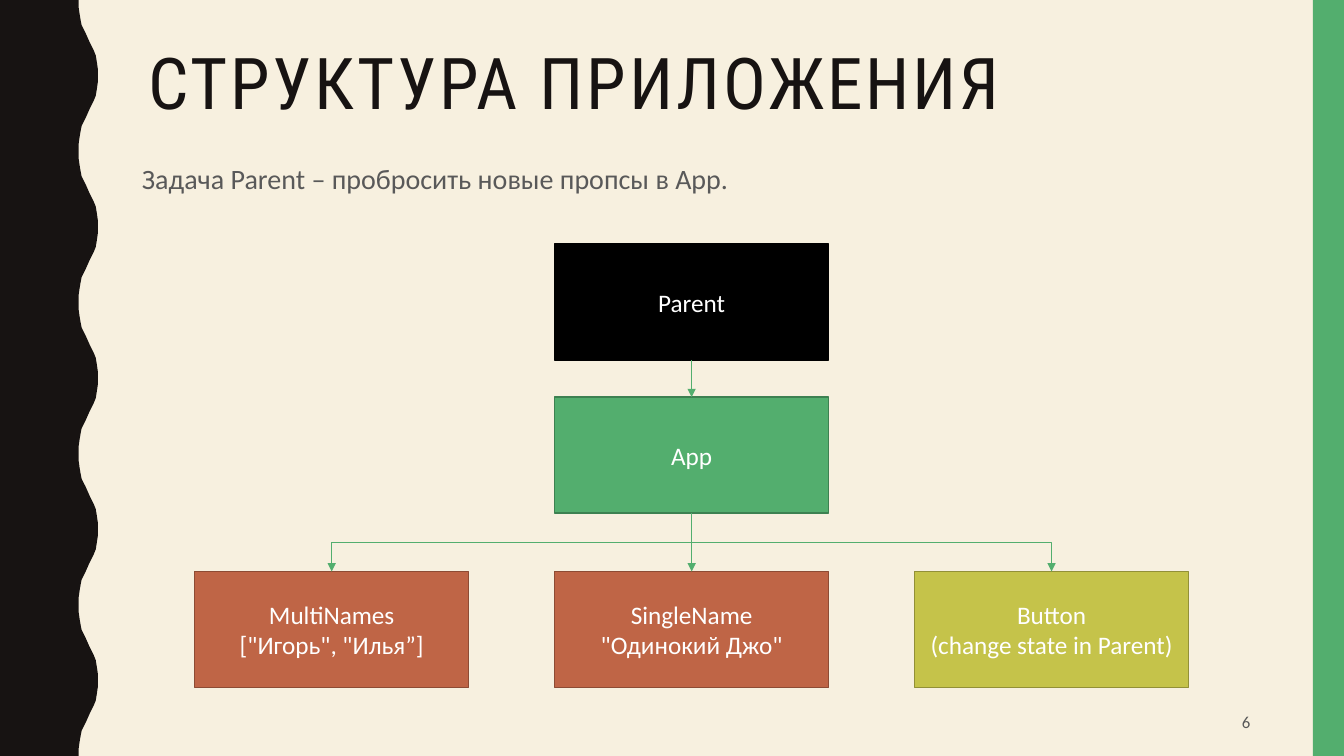
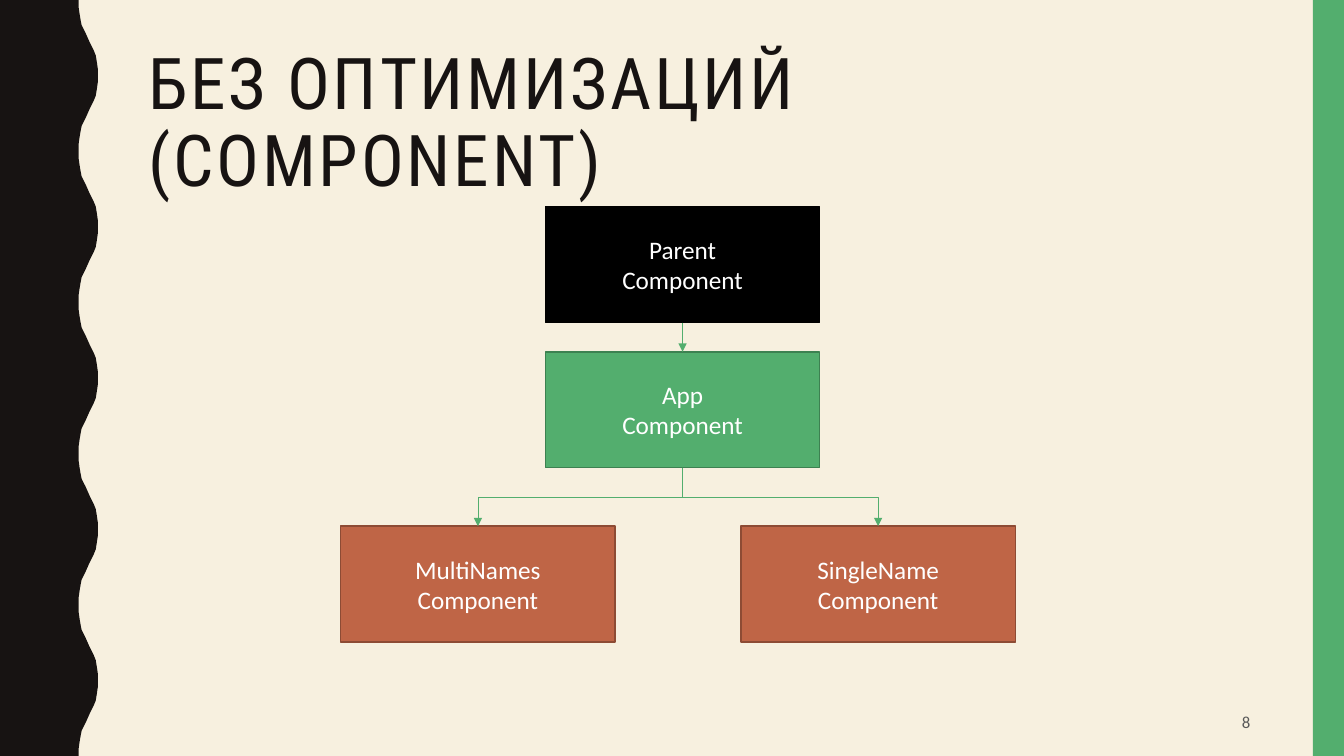
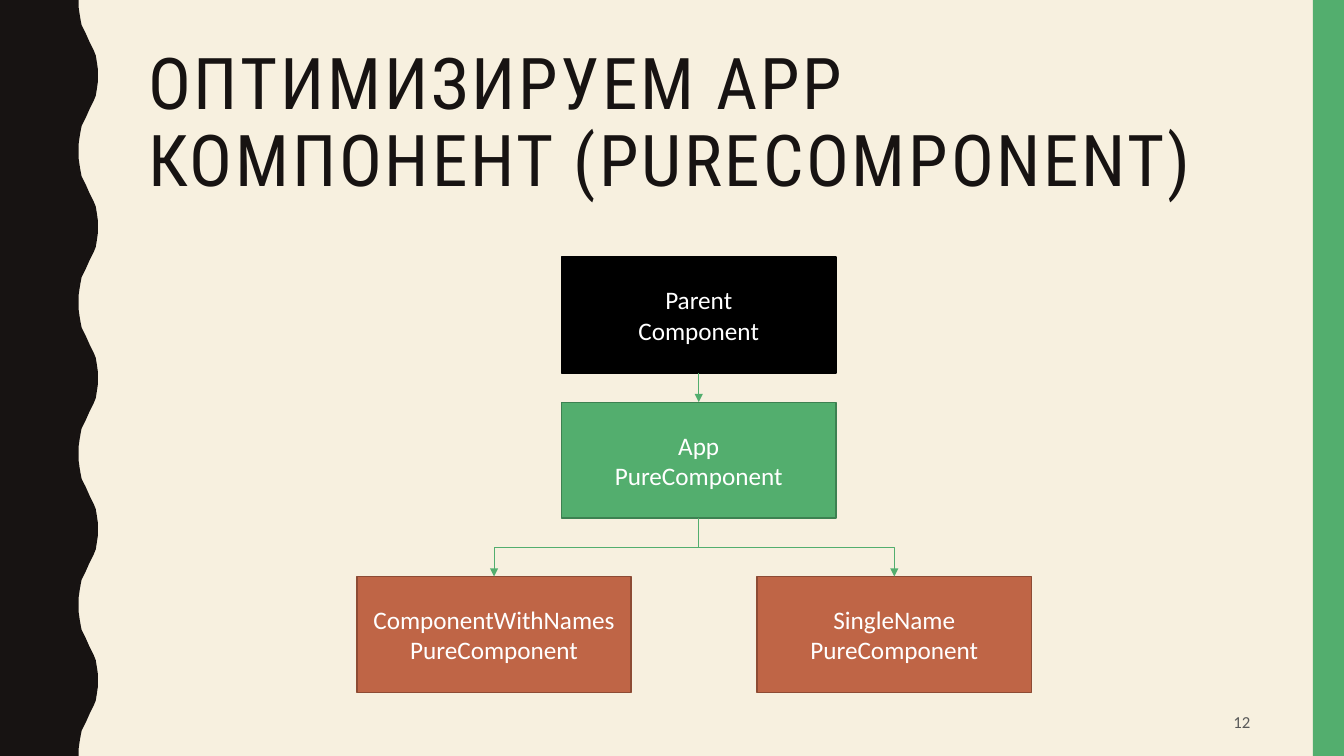
from lxml.etree import SubElement
from pptx import Presentation
from pptx.dml.color import RGBColor
from pptx.enum.shapes import MSO_CONNECTOR, MSO_SHAPE
from pptx.enum.text import MSO_ANCHOR, MSO_AUTO_SIZE, PP_ALIGN
from pptx.oxml.ns import qn
from pptx.util import Inches, Pt

CREAM = RGBColor(0xF7, 0xF0, 0xDF)
INK = RGBColor(0x17, 0x13, 0x12)
GRAY = RGBColor(0x59, 0x59, 0x59)
WHITE = RGBColor(0xFF, 0xFF, 0xFF)
BLACK = RGBColor(0, 0, 0)
GREEN = RGBColor(0x53, 0xAE, 0x6E)
DARK_GREEN = RGBColor(0x3D, 0x81, 0x51)
RUST = RGBColor(0xBF, 0x65, 0x46)
DARK_RUST = RGBColor(0x8D, 0x4B, 0x34)
OLIVE = RGBColor(0xC5, 0xC3, 0x4A)
DARK_OLIVE = RGBColor(0x92, 0x90, 0x37)

PARENT_COLORS = (BLACK, BLACK)
APP_COLORS = (GREEN, DARK_GREEN)
NAMES_COLORS = (RUST, DARK_RUST)
BUTTON_COLORS = (OLIVE, DARK_OLIVE)

TITLE_FONT = "Roboto Condensed"
BODY_FONT = "Calibri"
SLIDE_WIDTH, SLIDE_HEIGHT = Inches(13.33), Inches(7.5)
NODE_WIDTH, NODE_HEIGHT = Inches(2.72), Inches(1.15)
CHILD_STEP = Inches(1.73)
BOTTOM_SITE, TOP_SITE = 2, 0

HALF_WAVE = [(0.78, 0), (0.78, 0.07), (0.79, 0.14), (0.8, 0.2), (0.81, 0.25),
             (0.85, 0.33), (0.89, 0.42), (0.93, 0.5), (0.95, 0.55),
             (0.96, 0.61), (0.97, 0.68), (0.97, 0.75)]
WAVE_PERIOD = 1.5
WAVE_COUNT = 5


def paint(shape, fill, outline=None):
    """Give a shape a flat fill, an optional outline and no shadow."""
    shape.shadow.inherit = False
    shape.fill.solid()
    shape.fill.fore_color.rgb = fill
    if outline is None:
        shape.line.fill.background()
    else:
        shape.line.color.rgb = outline
        shape.line.width = Pt(1)


def style(paragraph, font_name, size, color, align=PP_ALIGN.LEFT):
    """Set the font and alignment of a paragraph."""
    paragraph.alignment = align
    paragraph.font.name = font_name
    paragraph.font.size = Pt(size)
    paragraph.font.color.rgb = color


def add_wave(slide, height):
    """Draw the wavy dark band along the left edge."""
    full_wave = HALF_WAVE + [(x, WAVE_PERIOD - y) for x, y in HALF_WAVE[-2::-1]]
    edge = [(Inches(x), Inches(y + turn * WAVE_PERIOD))
            for turn in range(WAVE_COUNT) for x, y in full_wave]
    outline = slide.shapes.build_freeform(0, 0)
    outline.add_line_segments(edge + [(0, height)], close=True)
    paint(outline.convert_to_shape(), INK)


def add_title(slide, text, left, top, width, height):
    """Place and format the title placeholder."""
    title = slide.shapes.title
    title.left, title.top, title.width, title.height = left, top, width, height
    frame = title.text_frame
    frame.text = text
    frame.word_wrap = True
    frame.auto_size = MSO_AUTO_SIZE.NONE
    frame.vertical_anchor = MSO_ANCHOR.TOP
    heading = frame.paragraphs[0]
    style(heading, TITLE_FONT, 51, INK)
    heading.line_spacing = 0.9
    heading.runs[0]._r.get_or_add_rPr().set("spc", "200")


def add_text(slide, text, left, top, width, height, size,
             align=PP_ALIGN.LEFT, anchor=MSO_ANCHOR.TOP):
    """Add one gray paragraph and return it."""
    frame = slide.shapes.add_textbox(left, top, width, height).text_frame
    frame.text = text
    frame.word_wrap = True
    frame.vertical_anchor = anchor
    style(frame.paragraphs[0], BODY_FONT, size, GRAY, align)
    return frame.paragraphs[0]


def add_base(deck, title, number):
    """Add a slide with its bands, title and page number."""
    slide = deck.slides.add_slide(deck.slide_layouts[5])
    add_wave(slide, SLIDE_HEIGHT)
    band_width = Inches(0.31)
    band = slide.shapes.add_shape(MSO_SHAPE.RECTANGLE, SLIDE_WIDTH - band_width,
                                  0, band_width, SLIDE_HEIGHT)
    paint(band, GREEN)
    add_title(slide, title, Inches(1.37), Inches(0.42), Inches(11.13), Inches(1.63))
    add_text(slide, str(number), Inches(9.42), Inches(6.97), Inches(3.08),
             Inches(0.38), 12, PP_ALIGN.RIGHT, MSO_ANCHOR.MIDDLE)
    return slide


def add_node(slide, lines, colors, left, top):
    """Add one component box with centred lines of text."""
    node = slide.shapes.add_shape(MSO_SHAPE.RECTANGLE, left, top,
                                  NODE_WIDTH, NODE_HEIGHT)
    paint(node, *colors)
    frame = node.text_frame
    frame.text = "\n".join(lines)
    frame.vertical_anchor = MSO_ANCHOR.MIDDLE
    for paragraph in frame.paragraphs:
        style(paragraph, BODY_FONT, 18, WHITE, PP_ALIGN.CENTER)
    return node


def add_arrow(slide, upper, lower):
    """Join the bottom of one node to the top of another."""
    start_x, start_y = upper.left + NODE_WIDTH // 2, upper.top + NODE_HEIGHT
    end_x, end_y = lower.left + NODE_WIDTH // 2, lower.top
    bent = start_x != end_x
    kind = MSO_CONNECTOR.ELBOW if bent else MSO_CONNECTOR.STRAIGHT
    arrow = slide.shapes.add_connector(kind, start_x, start_y, end_x, end_y)
    arrow.begin_connect(upper, BOTTOM_SITE)
    arrow.end_connect(lower, TOP_SITE)
    arrow.line.color.rgb = GREEN
    arrow.line.width = Pt(0.5)
    properties = arrow._element.spPr
    SubElement(properties.find(qn("a:ln")), qn("a:tailEnd"), type="triangle")
    SubElement(properties, qn("a:effectLst"))
    if bent:
        drop, span = end_y - start_y, abs(end_x - start_x)
        arrow.left = (start_x + end_x - drop) // 2
        arrow.top = (start_y + end_y - span) // 2
        arrow.width, arrow.height = drop, span
        rightward = end_x > start_x
        frame = properties.find(qn("a:xfrm"))
        frame.set("rot", str((270 if rightward else 90) * 60000))
        frame.set("flipH", "1" if rightward else "0")


def add_tree(slide, left, top, app_step, parent_lines, app_lines, children):
    """Draw Parent above App above a row of children, from Parent's corner."""
    app_top = top + app_step
    parent = add_node(slide, parent_lines, PARENT_COLORS, left, top)
    app = add_node(slide, app_lines, APP_COLORS, left, app_top)
    add_arrow(slide, parent, app)
    for lines, colors, shift in children:
        child = add_node(slide, lines, colors, left + Inches(shift),
                         app_top + CHILD_STEP)
        add_arrow(slide, app, child)


def add_structure_slide(deck):
    """Build the slide on the application structure."""
    slide = add_base(deck, "СТРУКТУРА ПРИЛОЖЕНИЯ", 6)
    task = add_text(slide, "Задача Parent – пробросить новые пропсы в App.",
                    Inches(1.31), Inches(1.52), Inches(11.13), Inches(0.53), 20)
    task.line_spacing = 1.1
    task.space_before = Pt(7)
    add_tree(slide, Inches(5.5), Inches(2.42), Inches(1.52), ["Parent"], ["App"], [
        (["MultiNames", '["Игорь", "Илья”]'], NAMES_COLORS, -3.57),
        (["SingleName", '"Одинокий Джо"'], NAMES_COLORS, 0),
        (["Button", "(change state in Parent)"], BUTTON_COLORS, 3.57),
    ])


def add_component_slide(deck, title, number, left, top, names, base_class):
    """Build a slide on the base class that App and its children use."""
    slide = add_base(deck, title, number)
    add_tree(slide, left, top, Inches(1.44), ["Parent", "Component"],
             ["App", base_class], [
                 ([names, base_class], NAMES_COLORS, -2.03),
                 (["SingleName", base_class], NAMES_COLORS, 1.94),
             ])


def main():
    """Build and save the deck."""
    deck = Presentation()
    deck.slide_width, deck.slide_height = SLIDE_WIDTH, SLIDE_HEIGHT
    backdrop = deck.slide_master.background.fill
    backdrop.solid()
    backdrop.fore_color.rgb = CREAM
    add_structure_slide(deck)
    add_component_slide(deck, "БЕЗ ОПТИМИЗАЦИЙ (COMPONENT)", 8,
                        Inches(5.41), Inches(2.05), "MultiNames", "Component")
    add_component_slide(deck, "ОПТИМИЗИРУЕМ APP КОМПОНЕНТ (PURECOMPONENT)", 12,
                        Inches(5.57), Inches(2.55), "ComponentWithNames",
                        "PureComponent")
    deck.save("out.pptx")


main()
